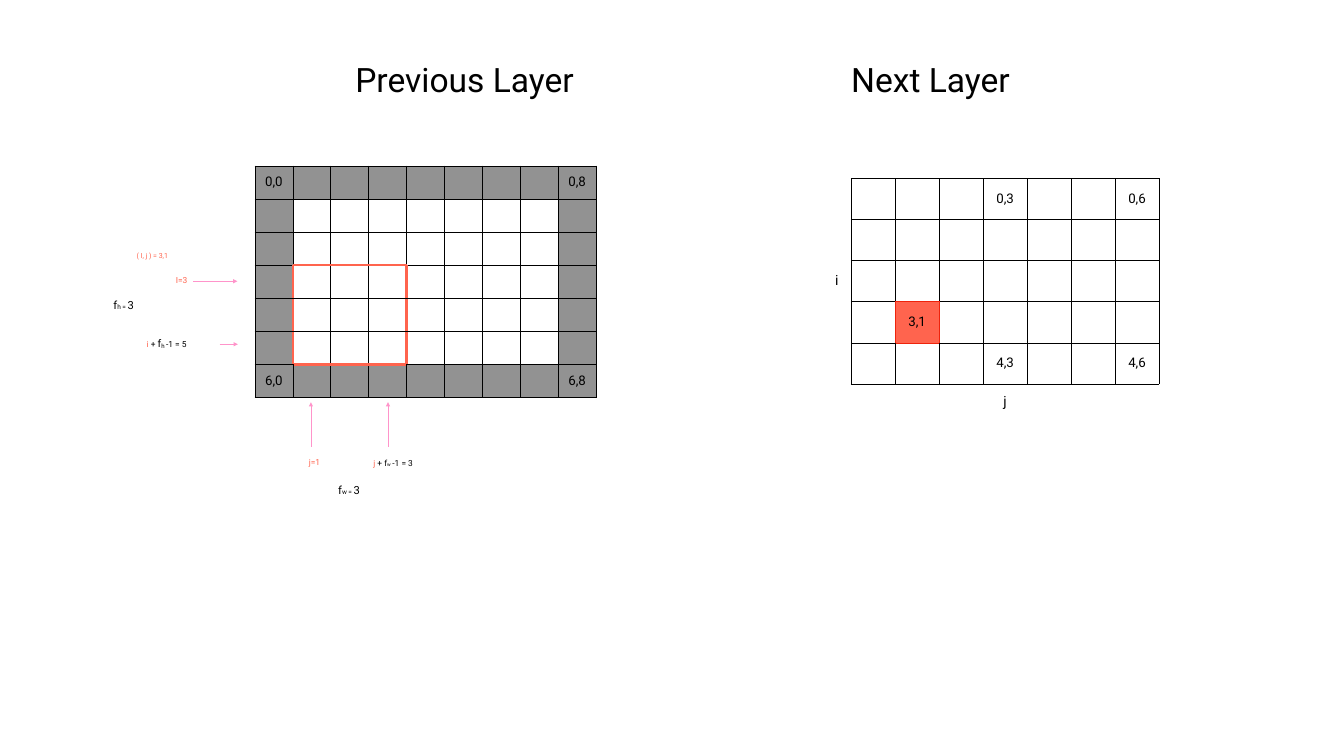
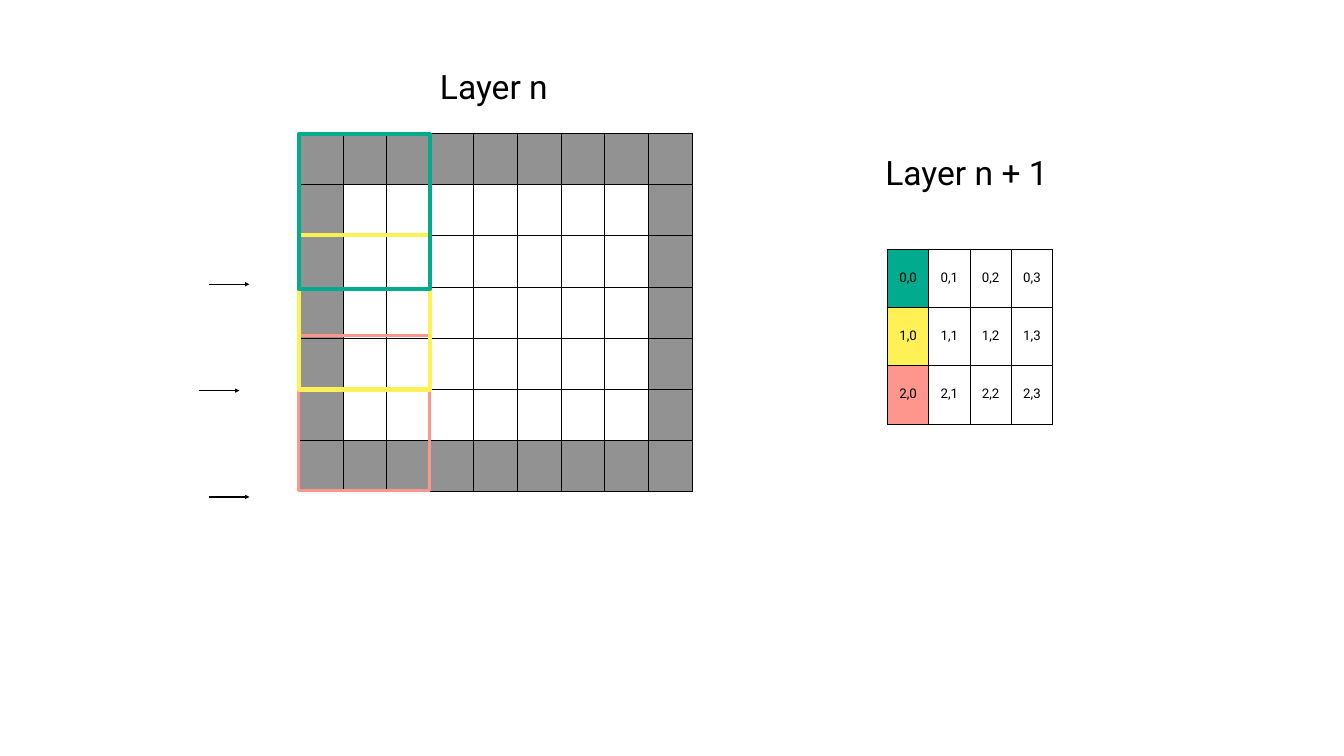
from lxml import etree
from pptx import Presentation
from pptx.dml.color import RGBColor
from pptx.enum.shapes import MSO_CONNECTOR, MSO_SHAPE
from pptx.enum.text import MSO_ANCHOR, MSO_AUTO_SIZE, PP_ALIGN
from pptx.oxml.ns import qn
from pptx.util import Inches, Pt

rgb = RGBColor.from_string

FONT = "Roboto"
BLACK, PADDING_GRAY = "000000", "929292"
CORAL, RED, PINK = "FF644E", "EE230C", "FF94CA"
GREEN, YELLOW, SALMON = "00AB8E", "FFF056", "FF968D"
INSET = Inches(0.06)
TITLE_SIZE = 48


def add_label(slide, box, size, runs, color=BLACK):
    """Add a one-line text; each run is its text and a dict of size, color or sub."""
    label = slide.shapes.add_textbox(*map(Inches, box))
    frame = label.text_frame
    frame.word_wrap = False
    frame.auto_size = MSO_AUTO_SIZE.SHAPE_TO_FIT_TEXT
    frame.vertical_anchor = MSO_ANCHOR.MIDDLE
    frame.margin_left = frame.margin_right = INSET
    frame.margin_top = frame.margin_bottom = INSET
    line = frame.paragraphs[0]
    line.line_spacing = 0.9
    line.font.name = FONT
    line.font.size = Pt(size)
    line.font.color.rgb = rgb(color)
    for text, style in runs:
        run = line.add_run()
        run.text = text
        if "size" in style:
            run.font.size = Pt(style["size"])
        if "color" in style:
            run.font.color.rgb = rgb(style["color"])
        if style.get("sub"):
            run.font._element.set("baseline", "-6000")


def add_grid(slide, box, rows, columns, texts, fills, window=(), outline=(BLACK, 1)):
    """Add a layer as a table and draw the outline around the cells in window."""
    left, top, width, height = box
    grid = slide.shapes.add_table(rows, columns, *map(Inches, box)).table
    grid.first_row = grid.horz_banding = False
    for column in grid.columns:
        column.width = Inches(width / columns)
    for row in grid.rows:
        row.height = Inches(height / rows)
    for r in range(rows):
        for c in range(columns):
            cell = grid.cell(r, c)
            properties = cell._tc.get_or_add_tcPr()
            neighbours = {"a:lnL": (r, c - 1), "a:lnR": (r, c + 1),
                          "a:lnT": (r - 1, c), "a:lnB": (r + 1, c)}
            for side, neighbour in neighbours.items():
                on_edge = ((r, c) in window) != (neighbour in window)
                color, points = outline if on_edge else (BLACK, 1)
                border = etree.SubElement(properties, qn(side), w=str(Pt(points)))
                solid = etree.SubElement(border, qn("a:solidFill"))
                etree.SubElement(solid, qn("a:srgbClr"), val=color)
            if (r, c) in fills:
                cell.fill.solid()
                cell.fill.fore_color.rgb = rgb(fills[r, c])
            else:
                cell.fill.background()
            cell.vertical_anchor = MSO_ANCHOR.MIDDLE
            cell.margin_left = cell.margin_right = INSET
            cell.margin_top = cell.margin_bottom = INSET
            if (r, c) in texts:
                cell.text = f"{r},{c}"
                index = cell.text_frame.paragraphs[0]
                index.alignment = PP_ALIGN.CENTER
                index.line_spacing = 0.9
                index.font.name = FONT
                index.font.size = Pt(19)
                index.font.color.rgb = rgb(BLACK)


deck = Presentation()
deck.slide_width, deck.slide_height = Inches(26.67), Inches(15)
blank = deck.slide_layouts[6]

# Both slides show a 7 x 9 layer with a padded rim
padding = {(r, c): PADDING_GRAY for r in range(7) for c in range(9)
           if r in (0, 6) or c in (0, 8)}

# Slide 1: one filter window gives one cell of the next layer
single = deck.slides.add_slide(blank)
add_grid(single, (16.89, 3.54, 6.11, 4.08), 5, 7,
         texts=[(0, 3), (0, 6), (3, 1), (4, 3), (4, 6)],
         fills={(3, 1): CORAL}, window=[(3, 1)], outline=(RED, 1))
add_grid(single, (5.06, 3.29, 6.77, 4.6), 7, 9,
         texts=[(0, 0), (0, 8), (6, 0), (6, 8)], fills=padding,
         window=[(r, c) for r in (3, 4, 5) for c in (1, 2, 3)], outline=(CORAL, 4))

for text, box, size, color in [
    ("i", (16.51, 5.36, 0.19, 0.44), 20, BLACK),
    ("j", (19.85, 7.75, 0.19, 0.44), 20, BLACK),
    ("Previous Layer", (6.99, 1.17, 4.52, 0.88), TITLE_SIZE, BLACK),
    ("Next Layer", (16.83, 1.17, 3.35, 0.88), TITLE_SIZE, BLACK),
    ("I=3", (3.43, 5.43, 0.36, 0.3), 12, CORAL),
    ("j=1", (6.07, 9.03, 0.4, 0.3), 12, CORAL),
    ("( I, j ) = 3,1", (2.65, 4.95, 0.77, 0.27), 10, CORAL),
]:
    add_label(single, box, size, [(text, {})], color)

for subscript, box in [("h = ", (2.19, 5.89, 0.57, 0.35)),
                       ("w = ", (6.65, 9.56, 0.6, 0.35))]:
    add_label(single, box, 16, [("f", {}), (subscript, {"sub": True}), ("3", {})])

add_label(single, (2.85, 6.66, 0.98, 0.34), 12, [
    ("i ", {"color": CORAL}), ("+ ", {}), ("f", {"size": 15}),
    ("h ", {"size": 15, "sub": True}), ("-1 = 5", {})])
add_label(single, (7.35, 9.01, 0.97, 0.34), 12, [
    ("j ", {"color": CORAL}), ("+ f", {}), ("w", {"sub": True}),
    (" ", {"size": 15, "sub": True}), ("-1 = 3", {})])

# Slide 2: windows two rows apart give the first column of the next layer
stride = deck.slides.add_slide(blank)
add_grid(stride, (5.94, 2.65, 7.79, 7.1), 7, 9, texts=[], fills=padding)
add_grid(stride, (17.61, 4.94, 3.28, 3.47), 3, 4,
         texts=[(r, c) for r in range(3) for c in range(4)],
         fills={(0, 0): GREEN, (1, 0): YELLOW, (2, 0): SALMON})
add_label(stride, (17.51, 3.02, 3.46, 0.88), TITLE_SIZE, [("Layer n + 1", {})])
add_label(stride, (8.67, 1.32, 2.32, 0.88), TITLE_SIZE, [("Layer n", {})])

for step, color, points in [(2, SALMON, 4), (1, YELLOW, 6), (0, GREEN, 6)]:
    window = stride.shapes.add_shape(
        MSO_SHAPE.RECTANGLE, Inches(5.93), Inches(2.66 + 2 * step),
        Inches(2.6), Inches(3.07))
    window.shadow.inherit = False
    window.fill.background()
    window.line.color.rgb = rgb(color)
    window.line.width = Pt(points)

# Arrows that point at rows and columns
for slide, color, points, ends in [
    (single, PINK, 1, [(3.84, 5.58, 4.71, 5.58), (4.36, 6.83, 4.72, 6.83),
                       (6.17, 8.86, 6.17, 7.98), (7.7, 8.86, 7.7, 7.98)]),
    (stride, BLACK, 2, [(3.94, 7.75, 4.75, 7.75), (4.14, 9.86, 4.95, 9.86),
                        (4.14, 5.64, 4.95, 5.64)]),
]:
    for end in ends:
        arrow = slide.shapes.add_connector(MSO_CONNECTOR.STRAIGHT, *map(Inches, end))
        arrow.line.color.rgb = rgb(color)
        arrow.line.width = Pt(points)
        etree.SubElement(arrow.line._get_or_add_ln(), qn("a:tailEnd"), type="triangle")
        etree.SubElement(arrow._element.spPr, qn("a:effectLst"))

deck.save("out.pptx")
